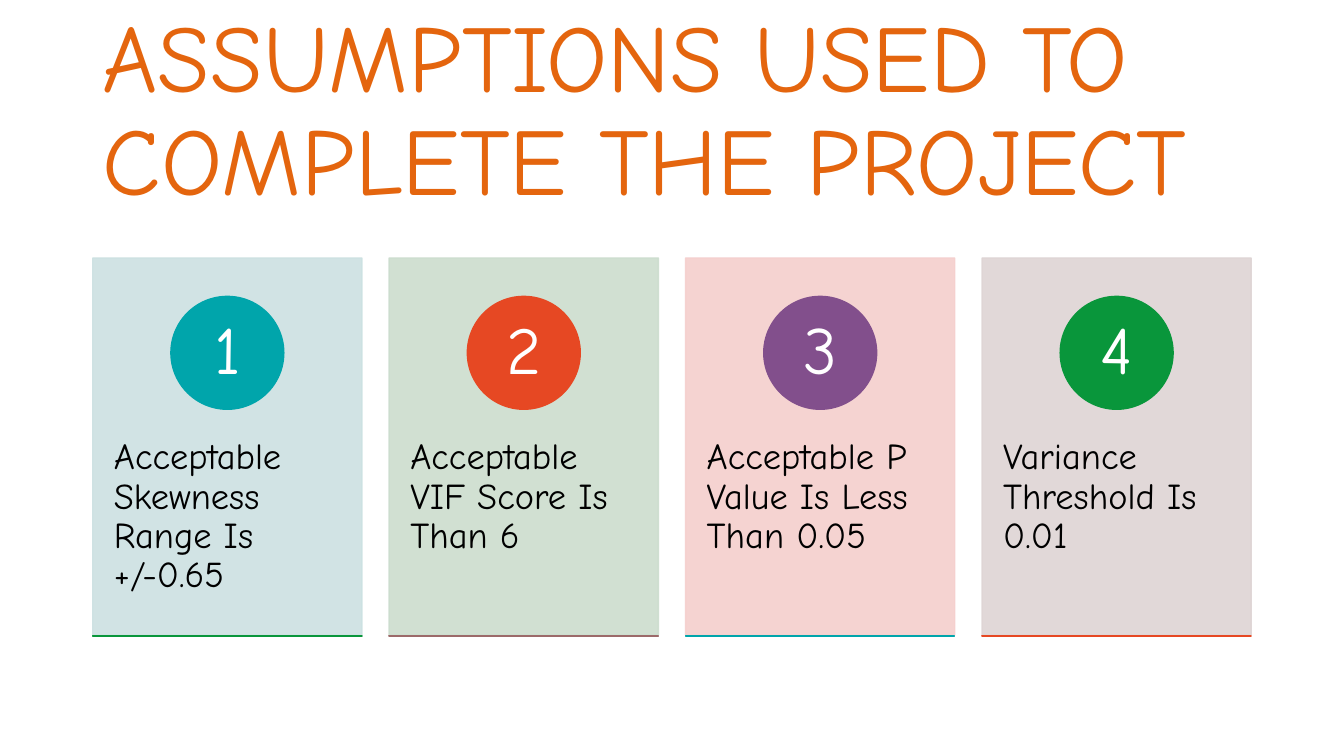
from dataclasses import dataclass

from lxml import etree
from pptx import Presentation
from pptx.dml.color import RGBColor
from pptx.enum.shapes import MSO_SHAPE
from pptx.enum.text import MSO_ANCHOR, PP_ALIGN
from pptx.oxml.ns import qn
from pptx.util import Inches, Pt

RECTANGLE, OVAL = MSO_SHAPE.RECTANGLE, MSO_SHAPE.OVAL
TOP, MIDDLE = MSO_ANCHOR.TOP, MSO_ANCHOR.MIDDLE
LEFT, CENTER = PP_ALIGN.LEFT, PP_ALIGN.CENTER


@dataclass(frozen=True)
class Theme:
    font: str = "Comic Neue"
    background: str = "FFFFFF"
    title: str = "E4650E"
    body: str = "000000"
    number: str = "FFFFFF"
    teal: str = "00A5AB"
    red: str = "E64823"
    purple: str = "824F8C"
    green: str = "09963B"
    brown: str = "9C6A6A"
    panels: tuple = ("CCE1E2", "CCDDCE", "F5CFCD", "DED4D4")
    panel_opacity: int = 90
    title_size: int = 68
    number_size: int = 48
    body_size: int = 26
    line_spacing: float = 0.9


class SlideBuilder:
    def __init__(self, slide, theme):
        self.slide = slide
        self.theme = theme
        background = slide.background.fill
        background.solid()
        background.fore_color.rgb = RGBColor.from_string(theme.background)

    def shape(self, kind, left, top, width, height, color, opacity=100):
        shape = self.slide.shapes.add_shape(
            kind, Inches(left), Inches(top), Inches(width), Inches(height))
        shape.shadow.inherit = False
        shape.line.width = Pt(1)
        for fill in (shape.fill, shape.line.fill):
            fill.solid()
            fill.fore_color.rgb = RGBColor.from_string(color)
        if opacity < 100:
            for rgb in shape._element.spPr.iter(qn("a:srgbClr")):
                etree.SubElement(rgb, qn("a:alpha"), val=str(opacity * 1000))

    def text(self, wording, left, top, width, height, size, color,
             anchor=TOP, align=LEFT, insets=(0.1, 0.05)):
        """Add a wrapped text box; insets are (horizontal, vertical)."""
        box = self.slide.shapes.add_textbox(
            Inches(left), Inches(top), Inches(width), Inches(height))
        frame = box.text_frame
        frame.word_wrap = True
        frame.vertical_anchor = anchor
        frame.margin_left = frame.margin_right = Inches(insets[0])
        frame.margin_top = frame.margin_bottom = Inches(insets[1])
        frame.text = wording
        paragraph = frame.paragraphs[0]
        paragraph.alignment = align
        paragraph.line_spacing = self.theme.line_spacing
        font = paragraph.runs[0].font
        font.name = self.theme.font
        font.size = Pt(size)
        font.color.rgb = RGBColor.from_string(color)

    def card(self, left, number, assumption, panel, badge, baseline):
        theme = self.theme
        width, top, height = 2.67, 2.56, 3.74
        badge_size, number_size = 1.12, 0.79
        badge_top = 2.94
        center = left + width / 2
        self.shape(RECTANGLE, left, top, width, height, panel, theme.panel_opacity)
        self.text(assumption, left, 3.99, width, 2.25, theme.body_size,
                  theme.body, insets=(0.21, 0.36))
        self.shape(OVAL, center - badge_size / 2, badge_top,
                   badge_size, badge_size, badge)
        self.text(str(number), center - number_size / 2,
                  badge_top + (badge_size - number_size) / 2,
                  number_size, number_size, theme.number_size, theme.number,
                  MIDDLE, CENTER, (0.09, 0.01))
        self.shape(RECTANGLE, left, 6.31, width, 0, baseline)


def main():
    theme = Theme()
    presentation = Presentation()
    presentation.slide_width = Inches(13.33)
    presentation.slide_height = Inches(7.5)
    blank = presentation.slide_layouts[6]
    builder = SlideBuilder(presentation.slides.add_slide(blank), theme)

    margin, card_pitch = 0.92, 2.94
    builder.text("ASSUMPTIONS USED TO COMPLETE THE PROJECT", margin, 0.4, 11.5, 1.45,
                 theme.title_size, theme.title, MIDDLE)
    assumptions = (
        ("Acceptable Skewness Range Is +/-0.65", theme.teal, theme.green),
        ("Acceptable VIF Score Is Than 6", theme.red, theme.brown),
        ("Acceptable P Value Is Less Than 0.05", theme.purple, theme.teal),
        ("Variance Threshold Is 0.01", theme.green, theme.red),
    )
    for index, (assumption, badge, baseline) in enumerate(assumptions):
        builder.card(margin + index * card_pitch, index + 1, assumption,
                     theme.panels[index], badge, baseline)
    presentation.save("out.pptx")


if __name__ == "__main__":
    main()
